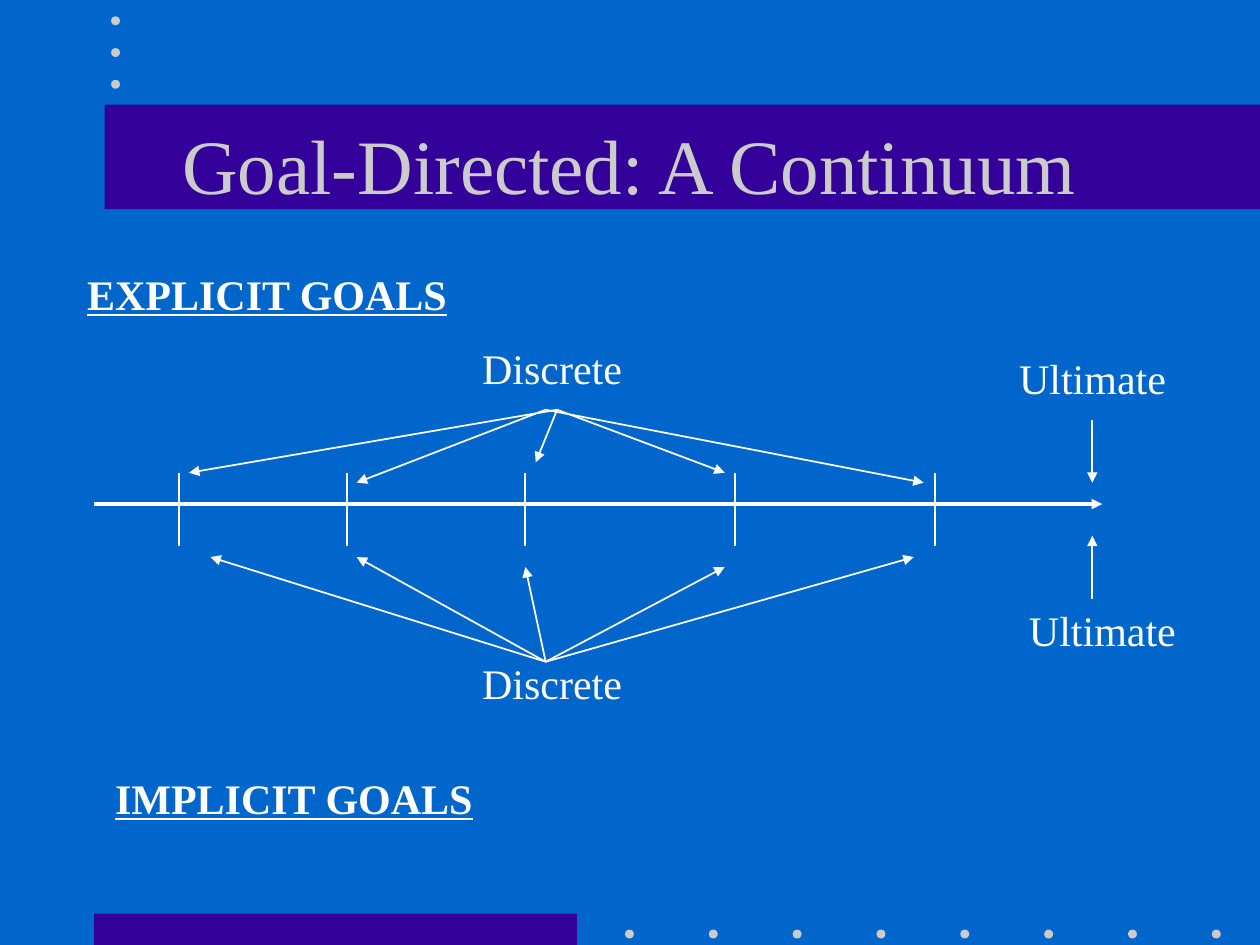
"""Build the slide "Goal-Directed: A Continuum"."""
import lxml.etree
import pptx
import pptx.dml.color
import pptx.enum.shapes
import pptx.enum.text
import pptx.oxml.ns
import pptx.util

BLUE, PURPLE, GREY, WHITE = "0066CC", "330099", "CBCBCB", "FFFFFF"
FONT = "Times New Roman"
SHAPES = pptx.enum.shapes.MSO_SHAPE
TEXT = pptx.enum.text
Cm = pptx.util.Cm


def color(value):
    return pptx.dml.color.RGBColor.from_string(value)


class SlideBuilder:
    def __init__(self, page):
        self.page = page
        page.background.fill.solid()
        page.background.fill.fore_color.rgb = color(BLUE)

    def block(self, kind, left, top, width, height, fill):
        shape = self.page.shapes.add_shape(
            kind, Cm(left), Cm(top), Cm(width), Cm(height))
        shape.shadow.inherit = False
        shape.fill.solid()
        shape.fill.fore_color.rgb = color(fill)
        shape.line.fill.background()

    def dots(self, left, top, count, step_x=0, step_y=0):
        for i in range(count):
            self.block(SHAPES.OVAL, left + i * step_x, top + i * step_y,
                       0.18, 0.18, GREY)

    def style(self, para, text, size, ink, heading=False):
        para.text = text
        para.alignment = TEXT.PP_ALIGN.CENTER
        para.font.name = FONT
        para.font.size = pptx.util.Pt(size)
        para.font.color.rgb = color(ink)
        if heading:
            para.font.bold = para.font.underline = True

    def title(self, text, left, top, width, height):
        box = self.page.shapes.title
        box.left, box.top, box.width, box.height = map(
            Cm, (left, top, width, height))
        box.text_frame.auto_size = TEXT.MSO_AUTO_SIZE.NONE
        box.text_frame.vertical_anchor = TEXT.MSO_ANCHOR.MIDDLE
        self.style(box.text_frame.paragraphs[0], text, 44, GREY)
        box.element.getparent().append(box.element)

    def label(self, text, left, top, width, heading=False, wrap=True):
        box = self.page.shapes.add_textbox(
            Cm(left), Cm(top), Cm(width), Cm(1.27))
        box.text_frame.word_wrap = wrap
        box.text_frame.auto_size = TEXT.MSO_AUTO_SIZE.SHAPE_TO_FIT_TEXT
        self.style(box.text_frame.paragraphs[0], text, 24, WHITE, heading)

    def line(self, start, end, weight=1, arrow=True):
        connector = self.page.shapes.add_connector(
            pptx.enum.shapes.MSO_CONNECTOR.STRAIGHT,
            *map(Cm, (*start, *end)))
        connector.line.color.rgb = color(WHITE)
        connector.line.width = pptx.util.Pt(weight)
        qn = pptx.oxml.ns.qn
        properties = connector.element.spPr
        if arrow:
            outline = properties.find(qn("a:ln"))
            lxml.etree.SubElement(outline, qn("a:tailEnd"), type="triangle")
        lxml.etree.SubElement(properties, qn("a:effectLst"))


def main():
    deck = pptx.Presentation()
    deck.slide_width, deck.slide_height = Cm(25.4), Cm(19.05)
    slide = SlideBuilder(deck.slides.add_slide(deck.slide_layouts[5]))

    slide.block(SHAPES.RECTANGLE, 1.9, 18.42, 9.73, 0.63, PURPLE)
    slide.dots(12.6, 18.74, 8, step_x=1.69)
    slide.block(SHAPES.RECTANGLE, 2.11, 2.11, 23.29, 2.11, PURPLE)
    slide.dots(2.24, 0.33, 3, step_y=0.64)
    slide.title("Goal-Directed: A Continuum", 1.9, 1.7, 21.59, 3.18)

    slide.line((1.9, 10.16), (22.22, 10.16), weight=2)
    for x in (3.61, 6.99, 10.59, 14.81, 18.85):
        slide.line((x, 9.53), (x, 11), arrow=False)

    slide.label("IMPLICIT GOALS", 1.9, 15.44, 8.05, heading=True)
    slide.label("EXPLICIT GOALS", 1.5, 5.28, 7.77, heading=True, wrap=False)

    slide.label("Discrete", 8.69, 6.78, 4.88)
    for start_x, end in ((11.23, (3.81, 9.53)), (11, (7.19, 9.73)),
                         (11.23, (10.8, 9.32)), (11.23, (14.61, 9.53)),
                         (11, (18.62, 9.73))):
        slide.line((start_x, 8.26), end)
    slide.label("Ultimate", 20.12, 6.99, 3.81)
    slide.line((22.02, 8.46), (22.02, 9.73))

    slide.label("Discrete", 8.69, 13.13, 4.88)
    for end in ((4.24, 11.23), (7.19, 11.23), (10.59, 11.43),
                (14.61, 11.43), (18.42, 11.23)):
        slide.line((11, 13.34), end)
    slide.label("Ultimate", 20.32, 12.07, 3.81)
    slide.line((22.02, 12.07), (22.02, 10.8))

    deck.save("out.pptx")


if __name__ == "__main__":
    main()
